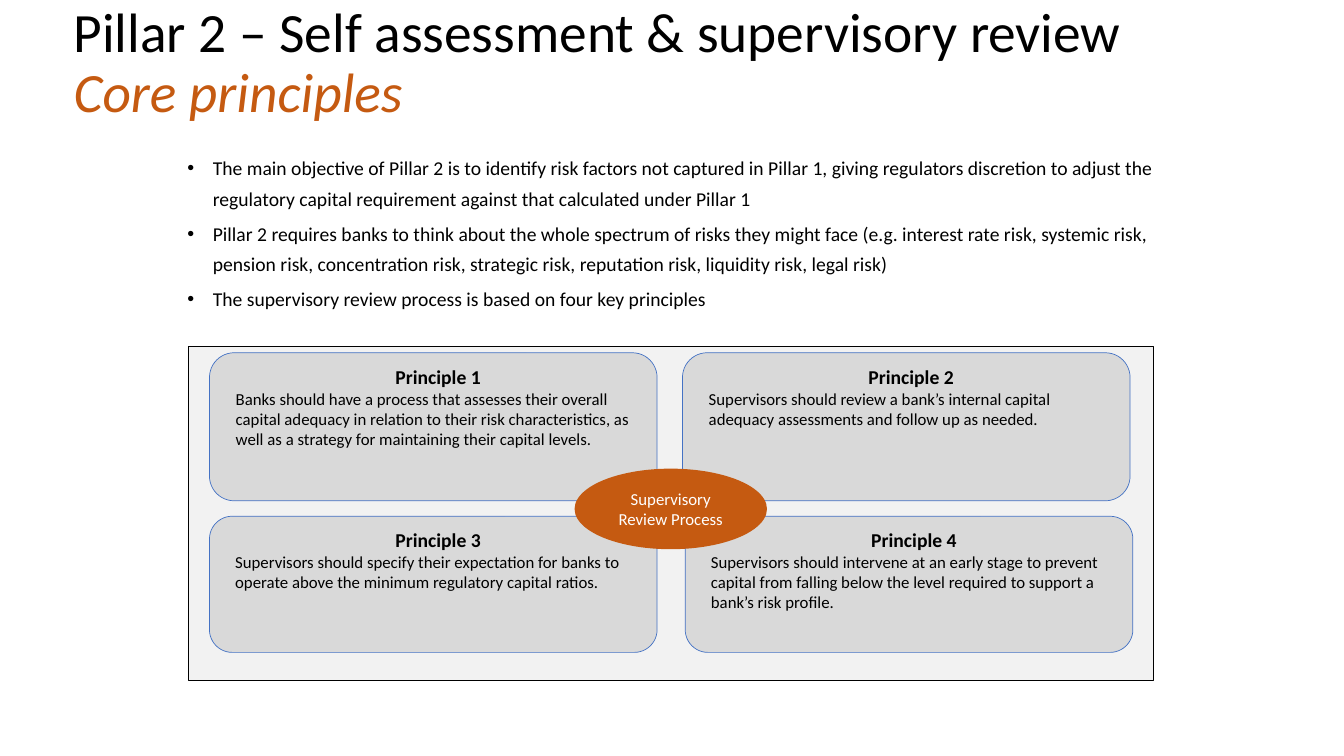
from pptx import Presentation
from pptx.dml.color import RGBColor
from pptx.enum.shapes import MSO_SHAPE
from pptx.enum.text import MSO_ANCHOR, MSO_AUTO_SIZE, PP_ALIGN
from pptx.oxml.ns import qn
from pptx.util import Cm, Pt
from lxml.etree import SubElement

BLACK = RGBColor(0x00, 0x00, 0x00)
WHITE = RGBColor(0xFF, 0xFF, 0xFF)
ORANGE = RGBColor(0xC5, 0x5A, 0x11)
BLUE = RGBColor(0x44, 0x72, 0xC4)
PANEL_GREY = RGBColor(0xF2, 0xF2, 0xF2)
CARD_GREY = RGBColor(0xD9, 0xD9, 0xD9)
FONT = "Calibri"

OBJECTIVES = [
    "The main objective of Pillar 2 is to identify risk factors not captured in Pillar 1, "
    "giving regulators discretion to adjust the regulatory capital requirement against that "
    "calculated under Pillar 1",
    "Pillar 2 requires banks to think about the whole spectrum of risks they might face "
    "(e.g. interest rate risk, systemic risk, pension risk, concentration risk, strategic risk, "
    "reputation risk, liquidity risk, legal risk)",
    "The supervisory review process is based on four key principles",
]
# Left, top and height within the panel (cm), then the wording
PRINCIPLES = [
    (0.53, 0.15, 3.73, "Banks should have a process that assesses their overall capital adequacy "
     "in relation to their risk characteristics, as well as a strategy for maintaining their "
     "capital levels."),
    (12.45, 0.15, 3.73, "Supervisors should review a bank’s internal capital adequacy "
     "assessments and follow up as needed."),
    (0.53, 4.27, 3.43, "Supervisors should specify their expectation for banks to operate above "
     "the minimum regulatory capital ratios."),
    (12.52, 4.27, 3.43, "Supervisors should intervene at an early stage to prevent capital from "
     "falling below the level required to support a bank’s risk profile."),
]
CARD_WIDTH = 11.28


def add_span(paragraph, text, size, color=BLACK, bold=False, italic=False):
    span = paragraph.add_run()
    span.text = text
    font = span.font
    font.name, font.size, font.bold, font.italic = FONT, Pt(size), bold, italic
    font.color.rgb = color


def format_paragraph(paragraph, align=PP_ALIGN.LEFT, margin=0, hanging=0, spacing=1.0,
                     after=0, bullet=None):
    properties = paragraph._p.get_or_add_pPr()
    properties.set("marL", str(Cm(margin)))
    properties.set("indent", str(-Cm(hanging)))
    if bullet:
        SubElement(properties, qn("a:buFont"), typeface="Arial")
        SubElement(properties, qn("a:buChar"), char=bullet)
    paragraph.alignment = align
    paragraph.line_spacing = spacing
    paragraph.space_before = Pt(0)
    paragraph.space_after = Pt(after)


def next_paragraph(frame, index):
    return frame.add_paragraph() if index else frame.paragraphs[0]


def place(holder, left, top, width, height, anchor):
    holder.left, holder.top, holder.width, holder.height = map(Cm, (left, top, width, height))
    frame = holder.text_frame
    frame.word_wrap = True
    frame.auto_size = MSO_AUTO_SIZE.NONE
    frame.vertical_anchor = anchor
    return frame


def add_title(page, left, top, width, height):
    frame = place(page.shapes.title, left, top, width, height, MSO_ANCHOR.MIDDLE)
    paragraph = frame.paragraphs[0]
    format_paragraph(paragraph, spacing=0.9)
    add_span(paragraph, "Pillar 2 – Self assessment & supervisory review", 39.6)
    paragraph.add_line_break()
    add_span(paragraph, "Core principles", 39.6, color=ORANGE, italic=True)


def add_objectives(page, left, top, width, height):
    frame = place(page.placeholders[1], left, top, width, height, MSO_ANCHOR.TOP)
    for index, objective in enumerate(OBJECTIVES):
        paragraph = next_paragraph(frame, index)
        format_paragraph(paragraph, margin=0.64, hanging=0.64, spacing=1.3, after=3, bullet="•")
        add_span(paragraph, objective, 14)


def add_figure(page, kind, left, top, width, height, fill, line=None):
    figure = page.shapes.add_shape(kind, Cm(left), Cm(top), Cm(width), Cm(height))
    figure.shadow.inherit = False
    figure.fill.solid()
    figure.fill.fore_color.rgb = fill
    if line is None:
        figure.line.fill.background()
    else:
        figure.line.color.rgb = line
        figure.line.width = Pt(0.5)
    return figure


def add_principle(page, left, top, width, height, heading, wording):
    card = add_figure(page, MSO_SHAPE.ROUNDED_RECTANGLE, left, top, width, height,
                      CARD_GREY, BLUE)
    frame = card.text_frame
    frame.vertical_anchor = MSO_ANCHOR.TOP
    title = frame.paragraphs[0]
    format_paragraph(title, align=PP_ALIGN.CENTER, margin=0.28, hanging=0.03)
    add_span(title, heading, 14, bold=True)
    body = frame.add_paragraph()
    format_paragraph(body, margin=0.23)
    add_span(body, wording, 12)


def add_principles_panel(page, left, top, width, height):
    add_figure(page, MSO_SHAPE.RECTANGLE, left, top, width, height, PANEL_GREY, BLACK)
    for number, (x, y, card_height, wording) in enumerate(PRINCIPLES, start=1):
        add_principle(page, left + x, top + y, CARD_WIDTH, card_height,
                      f"Principle {number}", wording)
    hub = add_figure(page, MSO_SHAPE.OVAL, left + 9.73, top + 3.07, 4.85, 2.03, ORANGE)
    hub.text_frame.vertical_anchor = MSO_ANCHOR.MIDDLE
    label = hub.text_frame.paragraphs[0]
    format_paragraph(label, align=PP_ALIGN.CENTER)
    add_span(label, "Supervisory Review Process", 12, color=WHITE)


def main():
    deck = Presentation()
    deck.slide_width, deck.slide_height = Cm(33.87), Cm(19.05)
    page = deck.slides.add_slide(deck.slide_layouts[1])
    add_title(page, 1.6, 0.43, 30.81, 2.41)
    add_objectives(page, 4.47, 3.63, 24.92, 4.39)
    add_principles_panel(page, 4.75, 8.74, 24.33, 8.41)
    deck.save("out.pptx")


if __name__ == "__main__":
    main()
